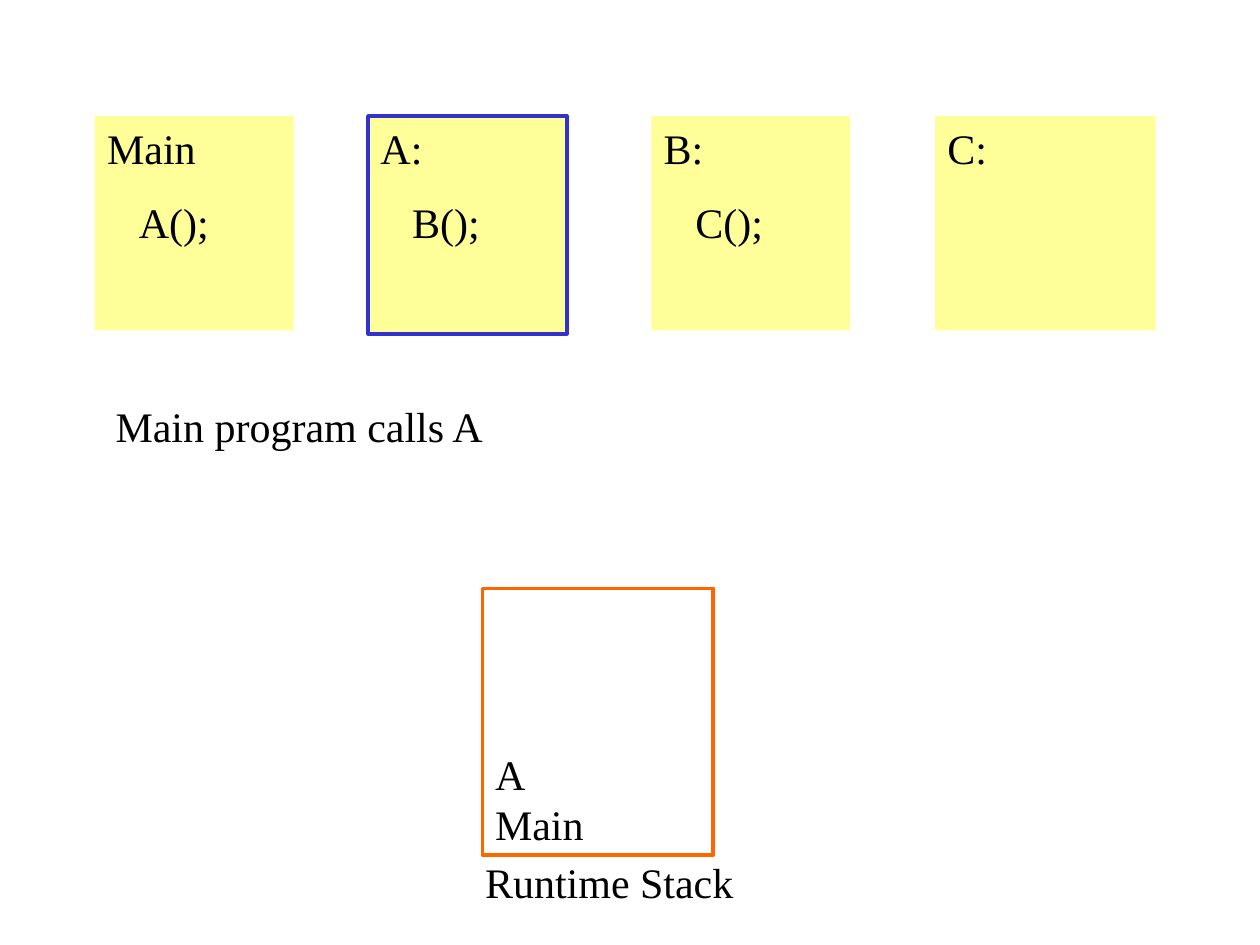
from pptx import Presentation
from pptx.dml.color import RGBColor
from pptx.enum.shapes import MSO_SHAPE
from pptx.enum.text import MSO_ANCHOR, PP_ALIGN
from pptx.util import Cm, Pt

BLACK = RGBColor(0x00, 0x00, 0x00)
YELLOW = RGBColor(0xFF, 0xFF, 0x99)
BLUE = RGBColor(0x33, 0x33, 0xCC)
ORANGE = RGBColor(0xFF, 0x66, 0x00)
FONT = "Times New Roman"

# Code boxes: left, width, height, outline, name, call
CODE_TOP = 2.34
CODE = [
    (1.91, 4.01, 4.32, None, "Main", "A();"),
    (7.42, 4.01, 4.39, BLUE, "A:", "B();"),
    (13.13, 4.01, 4.32, None, "B:", "C();"),
    (18.85, 4.45, 4.32, None, "C:", None),
]


def add_line(frame, text, first=False, indent=0, before=0):
    """Add one left-aligned paragraph holding a single run."""
    para = frame.paragraphs[0] if first else frame.add_paragraph()
    para.alignment = PP_ALIGN.LEFT
    para.space_before = Pt(before)
    if indent:
        para._p.get_or_add_pPr().set("marL", str(Cm(indent)))
    run = para.add_run()
    run.text = text
    run.font.name = FONT
    run.font.size = Pt(24)
    run.font.color.rgb = BLACK


def add_box(slide, left, top, width, height, fill, line, anchor):
    """Draw a plain rectangle and return its text frame."""
    box = slide.shapes.add_shape(
        MSO_SHAPE.RECTANGLE, Cm(left), Cm(top), Cm(width), Cm(height))
    box.shadow.inherit = False
    if fill is None:
        box.fill.background()
    else:
        box.fill.solid()
        box.fill.fore_color.rgb = fill
    if line is None:
        box.line.fill.background()
    else:
        box.line.color.rgb = line
        box.line.width = Pt(2)
    frame = box.text_frame
    frame.word_wrap = True
    frame.vertical_anchor = anchor
    return frame


def add_code(slide, left, top, width, height, line, name, call):
    """Draw a routine with its name and the call it makes."""
    frame = add_box(slide, left, top, width, height, YELLOW, line,
                    MSO_ANCHOR.TOP)
    add_line(frame, name, first=True, before=13.5)
    if call:
        add_line(frame, call, indent=0.64, before=13.5)


def add_label(slide, left, top, width, height, text):
    """Place a one-line caption."""
    box = slide.shapes.add_textbox(Cm(left), Cm(top), Cm(width), Cm(height))
    frame = box.text_frame
    frame.word_wrap = False
    add_line(frame, text, first=True)


def add_stack(slide, left, top, width, height, calls):
    """Draw the stack, filled from the bottom, with its caption below."""
    frame = add_box(slide, left, top, width, height, None, ORANGE,
                    MSO_ANCHOR.BOTTOM)
    for i, call in enumerate(calls):
        add_line(frame, call, first=i == 0)
    add_label(slide, left - 0.2, top + height - 0.1, 5.51, 1.27,
              "Runtime Stack")


def main():
    deck = Presentation()
    deck.slide_width, deck.slide_height = Cm(25.4), Cm(19.05)
    slide = deck.slides.add_slide(deck.slide_layouts[6])

    # Routines along the top
    for left, width, height, line, name, call in CODE:
        add_code(slide, left, CODE_TOP, width, height, line, name, call)

    # Current step
    add_label(slide, 2.08, 7.95, 7.95, 1.27, "Main program calls A")

    # Runtime stack, newest call first
    add_stack(slide, 9.73, 11.86, 4.65, 5.38, ["A", "Main"])

    deck.save("out.pptx")


if __name__ == "__main__":
    main()
